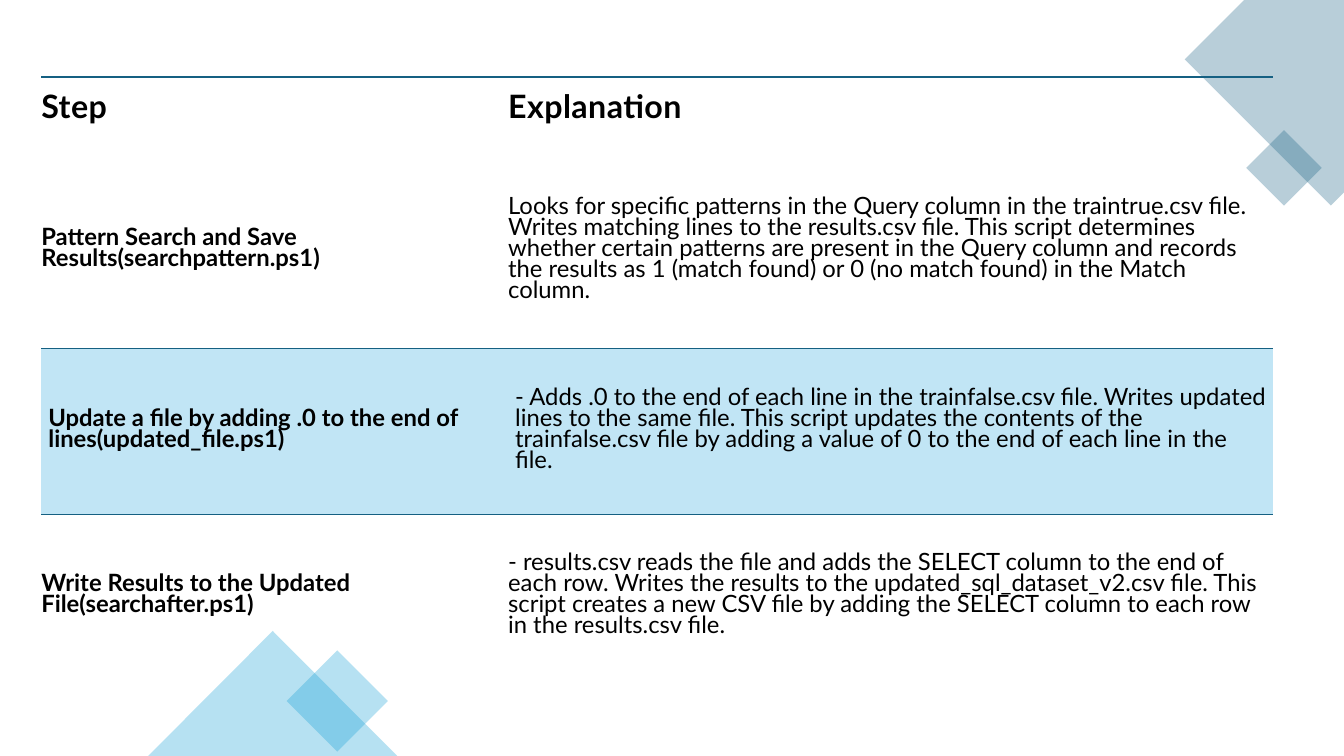
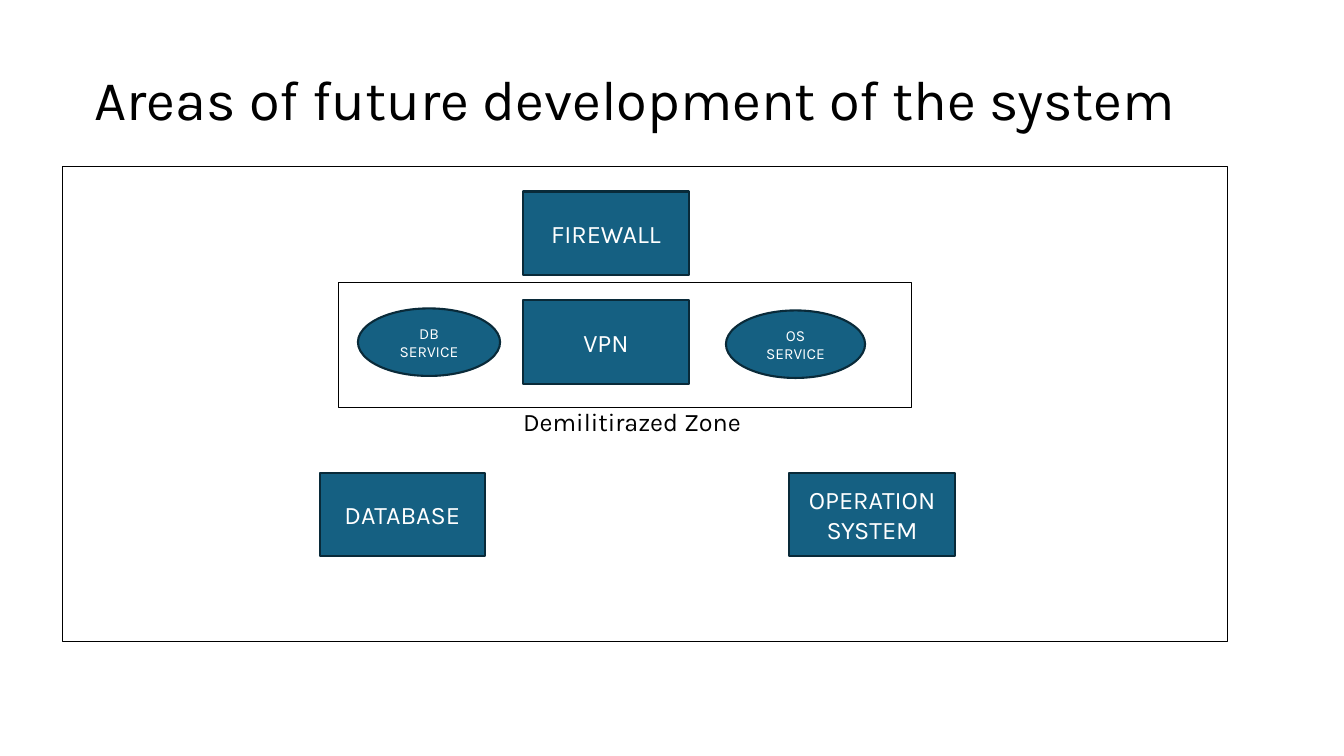
from dataclasses import dataclass

from lxml import etree
from pptx import Presentation
from pptx import util as u
from pptx.dml.color import RGBColor
from pptx.enum import shapes, text
from pptx.oxml import ns


@dataclass(frozen=True)
class Theme:
    ink: str = "000000"
    white: str = "FFFFFF"
    teal: str = "156082"
    teal_edge: str = "092A39"
    sky: str = "0F9ED5"
    pale: str = "C1E5F5"
    title_font: str = "Karla"
    table_font: str = "Lato"
    title: float = 40
    label: float = 18
    small: float = 11
    table_head: float = 23
    table_body: float = 17
    row_pitch: float = 15
    thick: float = 1.5
    thin: float = 0.75


THEME = Theme()
SHAPE = shapes.MSO_SHAPE
ALIGN = text.PP_ALIGN
ANCHOR = text.MSO_ANCHOR
PLAIN_TABLE = "{2D5ABB26-0587-4C30-8999-92F81FD0307C}"

HEADINGS = ("Step", "Explanation")
STEPS = [
    ("Pattern Search and Save Results(searchpattern.ps1)",
     "Looks for specific patterns in the Query column in the traintrue.csv file. "
     "Writes matching lines to the results.csv file. This script determines whether "
     "certain patterns are present in the Query column and records the results as "
     "1 (match found) or 0 (no match found) in the Match column."),
    ("Update a file by adding .0 to the end of lines(updated_file.ps1)",
     "- Adds .0 to the end of each line in the trainfalse.csv file. Writes updated "
     "lines to the same file. This script updates the contents of the trainfalse.csv "
     "file by adding a value of 0 to the end of each line in the file."),
    ("Write Results to the Updated File(searchafter.ps1)",
     "- results.csv reads the file and adds the SELECT column to the end of each row. "
     "Writes the results to the updated_sql_dataset_v2.csv file. This script creates "
     "a new CSV file by adding the SELECT column to each row in the results.csv file."),
]
HIGHLIGHTED_ROW = 2
TABLE_AT = (0.41, 0.76)
COLUMN_WIDTHS = (4.63, 7.59)
ROW_HEIGHTS = (0.76, 1.94, 1.64, 1.64)

CORNER = [(13.33, 0), (12.34, 0), (11.75, 0.59), (13.2, 2.04), (13.33, 1.91)]
DECORATIONS = [
    (SHAPE.RECTANGLE, (12.47, 1.4, 0.53, 0.53), 315, THEME.teal),
    (SHAPE.RECTANGLE, (2.99, 6.6, 0.71, 0.71), 45, THEME.sky),
    (SHAPE.ISOSCELES_TRIANGLE, (1.47, 6.26, 2.47, 1.24), 0, THEME.sky),
]
DECORATION_OPACITY = 30

TITLE = "Areas of future development of the system"
ZONE_NAME = "Demilitirazed Zone"
SYSTEM_FRAME = (0.62, 1.65, 11.55, 4.71)
ZONE_FRAME = (3.36, 2.8, 5.68, 1.24)
BLOCK_SIZE = (1.64, 0.83)
BLOCKS = [
    ("FIREWALL", (5.19, 1.9)),
    ("VPN", (5.19, 2.98)),
    ("DATABASE", (3.17, 4.69)),
    ("OPERATION SYSTEM", (7.83, 4.69)),
]
SERVICES = [
    ("DB SERVICE", (3.55, 3.06, 1.41, 0.67)),
    ("OS SERVICE", (7.2, 3.08, 1.38, 0.67)),
]


def inches(values):
    return [u.Inches(value) for value in values]


def color(value):
    return RGBColor.from_string(value)


def write(paragraph, wording, size, ink, font, bold=False):
    run = paragraph.add_run()
    run.text = wording
    run.font.size = u.Pt(size)
    run.font.name = font
    run.font.bold = bold
    run.font.color.rgb = color(ink)
    return run


def paint(shape, fill=None, edge=None, width=THEME.thin, opacity=100):
    shape.shadow.inherit = False
    if fill:
        shape.fill.solid()
        shape.fill.fore_color.rgb = color(fill)
        if opacity < 100:
            tone = shape.fill._xPr.find(".//" + ns.qn("a:srgbClr"))
            etree.SubElement(tone, ns.qn("a:alpha")).set("val", str(opacity * 1000))
    else:
        shape.fill.background()
    if edge:
        shape.line.color.rgb = color(edge)
        shape.line.width = u.Pt(width)
    else:
        shape.line.fill.background()


def add_frame(slide, box):
    paint(slide.shapes.add_shape(SHAPE.RECTANGLE, *inches(box)), edge=THEME.ink)


def add_node(slide, kind, wording, box, size):
    node = slide.shapes.add_shape(kind, *inches(box))
    paint(node, THEME.teal, THEME.teal_edge, THEME.thick)
    frame = node.text_frame
    frame.word_wrap = True
    frame.vertical_anchor = ANCHOR.MIDDLE
    frame.paragraphs[0].alignment = ALIGN.CENTER
    write(frame.paragraphs[0], wording, size, THEME.white, THEME.title_font)


def add_text(slide, wording, box, size, anchor=ANCHOR.TOP, spacing=1.0):
    frame = slide.shapes.add_textbox(*inches(box)).text_frame
    frame.word_wrap = True
    frame.vertical_anchor = anchor
    frame.paragraphs[0].line_spacing = spacing
    write(frame.paragraphs[0], wording, size, THEME.ink, THEME.title_font)


def add_border(cell, side, width):
    border = etree.Element(ns.qn("a:" + side), w=str(u.Pt(width)))
    fill = etree.SubElement(border, ns.qn("a:solidFill"))
    etree.SubElement(fill, ns.qn("a:srgbClr")).set("val", THEME.teal)
    cell._tc.get_or_add_tcPr().insert(0, border)


def fill_cell(cell, wording, row, column):
    header = row == 0
    highlighted = row == HIGHLIGHTED_ROW
    cell.vertical_anchor = ANCHOR.MIDDLE
    cell.margin_left = u.Inches(0.07 if highlighted else 0)
    cell.margin_right = u.Inches(0.01 if header else 0.04)
    cell.margin_top = cell.margin_bottom = u.Inches(0.19)
    if highlighted:
        cell.fill.solid()
        cell.fill.fore_color.rgb = color(THEME.pale)
    else:
        cell.fill.background()
    paragraph = cell.text_frame.paragraphs[0]
    paragraph.line_spacing = u.Pt(THEME.row_pitch)
    size = THEME.table_head if header else THEME.table_body
    run = write(paragraph, wording, size, THEME.ink, THEME.table_font,
                bold=header or column == 0)
    if header:
        run.font._element.set("spc", "30")
        add_border(cell, "lnT", THEME.thick)
    elif highlighted:
        add_border(cell, "lnT", THEME.thin)
    elif row == HIGHLIGHTED_ROW - 1:
        add_border(cell, "lnB", THEME.thin)


def add_steps_table(slide):
    rows = [HEADINGS, *STEPS]
    size = (sum(COLUMN_WIDTHS), sum(ROW_HEIGHTS))
    table = slide.shapes.add_table(
        len(rows), len(HEADINGS), *inches(TABLE_AT + size)).table
    table.first_row = table.horz_banding = False
    table._tbl.tblPr.find(ns.qn("a:tableStyleId")).text = PLAIN_TABLE
    for column, width in zip(table.columns, inches(COLUMN_WIDTHS)):
        column.width = width
    for row, height in zip(table.rows, inches(ROW_HEIGHTS)):
        row.height = height
    for r, wordings in enumerate(rows):
        for c, wording in enumerate(wordings):
            fill_cell(table.cell(r, c), wording, r, c)


def build_steps(slide):
    start, *others = [inches(point) for point in CORNER]
    outline = slide.shapes.build_freeform(*start)
    outline.add_line_segments(others, close=True)
    paint(outline.convert_to_shape(), THEME.teal, opacity=DECORATION_OPACITY)
    for kind, box, angle, fill in DECORATIONS:
        decoration = slide.shapes.add_shape(kind, *inches(box))
        decoration.rotation = angle
        paint(decoration, fill, opacity=DECORATION_OPACITY)
    add_steps_table(slide)


def build_future(slide):
    add_text(slide, TITLE, (0.84, 0.08, 12.07, 1.87), THEME.title, ANCHOR.MIDDLE, 0.9)
    add_frame(slide, SYSTEM_FRAME)
    for wording, place in BLOCKS:
        add_node(slide, SHAPE.RECTANGLE, wording, place + BLOCK_SIZE, THEME.label)
    add_frame(slide, ZONE_FRAME)
    for wording, box in SERVICES:
        add_node(slide, SHAPE.OVAL, wording, box, THEME.small)
    add_text(slide, ZONE_NAME, (5.09, 3.98, 2.76, 0.4), THEME.label)


def main():
    deck = Presentation()
    deck.slide_width, deck.slide_height = inches((13.33, 7.5))
    blank = deck.slide_layouts[6]
    for build in (build_steps, build_future):
        build(deck.slides.add_slide(blank))
    deck.save("out.pptx")


if __name__ == "__main__":
    main()
